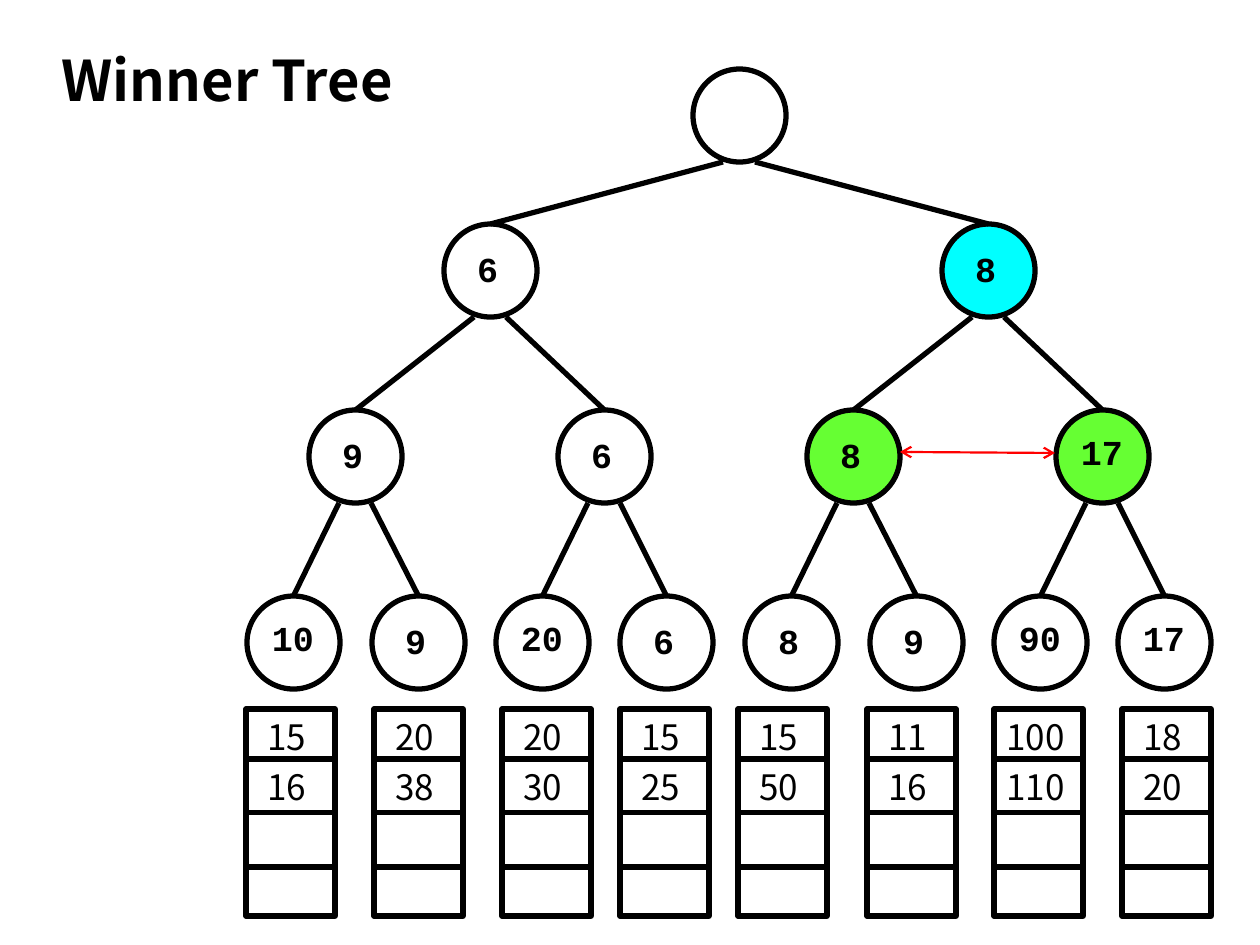
from lxml import etree
from pptx import Presentation
from pptx import util as u
from pptx.dml.color import RGBColor
from pptx.enum import shapes, text
from pptx.oxml.ns import qn

SCALE = 914400 / 126
SANS = "Noto Sans CJK KR"
BLACK = "000000"
NODE = {"name": "Courier New", "size": u.Pt(20), "bold": True}
CELL = {"name": SANS, "size": u.Pt(20), "bold": False}
HEAD = {"name": SANS, "size": u.Pt(32), "bold": True}
DIAM = 93


def px(*vals):
    return [u.Emu(round(v * SCALE)) for v in vals]


def hexa(code):
    return RGBColor.from_string(code)


deck = Presentation()
deck.slide_width, deck.slide_height = px(1260, 945)
slide = deck.slides.add_slide(deck.slide_layouts[5])
items = slide.shapes

# Tree levels: first centre, step between centres, top, keys
levels = [
    (739, 0, 69, [""]),
    (490, 498, 224, ["6", "8"]),
    (355, 249, 410, ["9", "6", "8", "17"]),
    (293, 124.5, 596, ["10", "9", "20", "6", "8", "9", "90", "17"]),
]
fills = {(1, 1): "00FFFF", (2, 2): "66FF33", (2, 3): "66FF33"}

boxes = []   # shape kind, left, top, width, height, fill
lines = []   # x1, y1, x2, y2, colour, width, joins
words = []   # string, left, top, width, height, format, alignment

# Nodes, keys and branches
for row, (first, step, top, keys) in enumerate(levels):
    for col, key in enumerate(keys):
        mid = round(first + step * col)
        boxes.append((shapes.MSO_SHAPE.OVAL, mid - DIAM // 2, top, DIAM, DIAM,
                      fills.get((row, col))))
        if len(key) == 1:
            words.append((key, mid - 36, top + 17, 67, 55, NODE, text.PP_ALIGN.CENTER))
        elif key:
            words.append((key, mid - 44, top + 14, 88, 55, NODE, text.PP_ALIGN.CENTER))
        if row:
            start, gap, above, _ = levels[row - 1]
            side = 16 if col % 2 else -16
            root = round(start + gap * (col // 2)) + side
            lines.append((root, above + DIAM, mid, top, BLACK, 3,
                          {"end_connect": (len(boxes) - 1, 0)}))

# Queues below the leaves
queues = [(246, "15", "16"), (374, "20", "38"), (502, "20", "30"), (620, "15", "25"),
          (738, "15", "50"), (867, "11", "16"), (994, "100", "110"), (1122, "18", "20")]
for left, *vals in queues:
    boxes.append((shapes.MSO_SHAPE.RECTANGLE, left, 709, 89, 207, None))
    rect = len(boxes) - 1
    sides = {"begin_connect": (rect, 1), "end_connect": (rect, 3)}
    for y in (759, 813, 867):
        lines.append((left, y, left + 89, y, BLACK, 3, sides if y == 813 else {}))
    for val, y in zip(vals, (709, 759)):
        pad = 0 if len(val) == 3 else 9
        words.append((val, left + pad, y, 89 - 2 * pad, 55, CELL, text.PP_ALIGN.LEFT))

# Match between the two green nodes
lines.append((900, 452, 1055, 453, "FF0000", 1.25, {}))

# Draw outlines
drawn = []
for kind, left, top, wide, high, fill in boxes:
    form = items.add_shape(kind, *px(left, top, wide, high))
    form.shadow.inherit = False
    if fill:
        form.fill.solid()
        form.fill.fore_color.rgb = hexa(fill)
    else:
        form.fill.background()
    form.line.color.rgb = hexa(BLACK)
    form.line.width = u.Pt(3)
    drawn.append(form)

# Draw lines
for x1, y1, x2, y2, color, width, joins in lines:
    link = items.add_connector(shapes.MSO_CONNECTOR.STRAIGHT, *px(x1, y1, x2, y2))
    link.line.color.rgb = hexa(color)
    link.line.width = u.Pt(width)
    for join, (index, site) in joins.items():
        getattr(link, join)(drawn[index], site)
    if color != BLACK:
        for end in ("a:headEnd", "a:tailEnd"):
            etree.SubElement(link.line._get_or_add_ln(), qn(end), type="arrow")
    etree.SubElement(link._element.spPr, qn("a:effectLst"))

# Write the title and the labels
title = items.title
title.left, title.top, title.width, title.height = px(49, 39, 423, 81)
labels = [(title, "Winner Tree", HEAD, text.PP_ALIGN.LEFT)]
for word, left, top, wide, high, style, align in words:
    labels.append((items.add_textbox(*px(left, top, wide, high)), word, style, align))

for box, word, style, align in labels:
    frame = box.text_frame
    frame.word_wrap = True
    frame.auto_size = text.MSO_AUTO_SIZE.SHAPE_TO_FIT_TEXT
    frame.vertical_anchor = text.MSO_ANCHOR.TOP
    para = frame.paragraphs[0]
    para.alignment = align
    run = para.add_run()
    run.text = word
    for name, value in style.items():
        setattr(run.font, name, value)
    run.font.color.rgb = hexa(BLACK)

deck.save("out.pptx")
